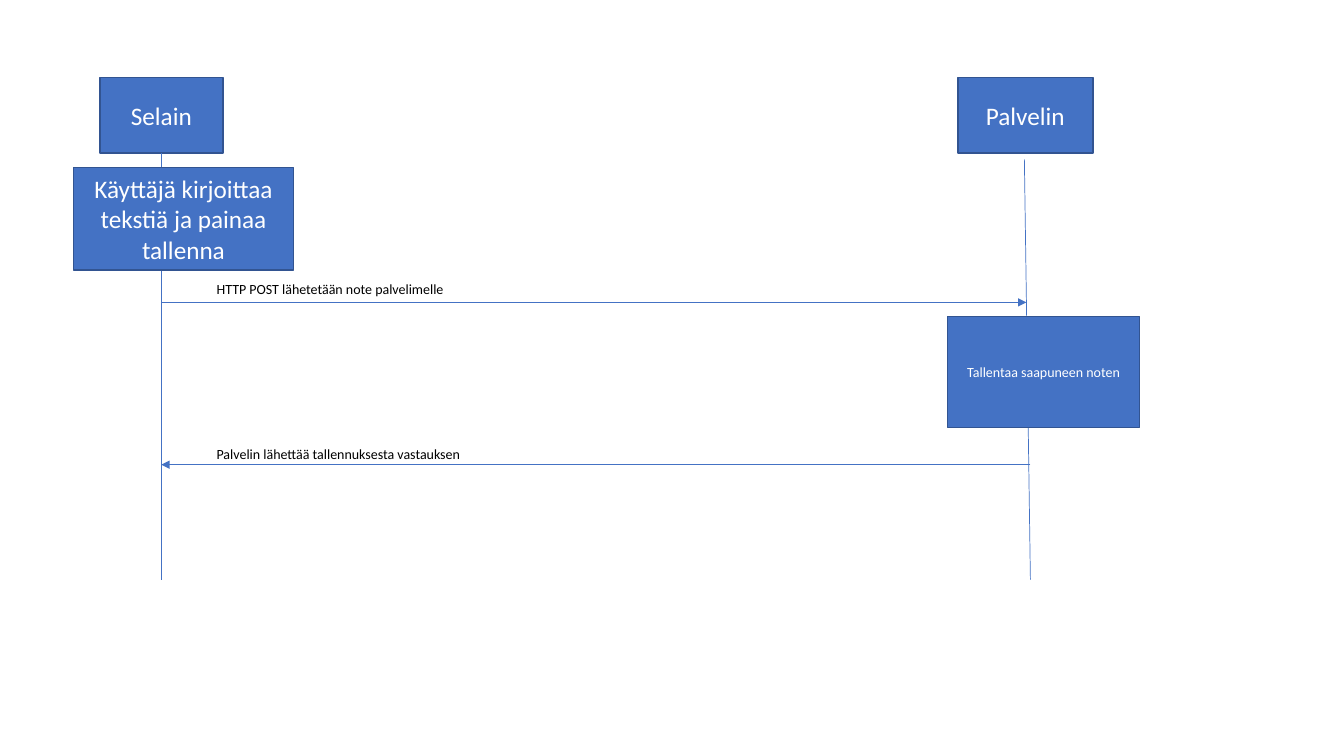
from dataclasses import dataclass
from lxml.etree import SubElement
from pptx import Presentation
from pptx.dml.color import RGBColor
from pptx.enum.shapes import MSO_CONNECTOR, MSO_SHAPE
from pptx.enum.text import MSO_ANCHOR, PP_ALIGN
from pptx.oxml.ns import qn
from pptx.util import Inches, Pt


@dataclass(frozen=True)
class Theme:
    font: str = "Calibri"
    blue: str = "4472C4"
    border: str = "325491"
    white: str = "FFFFFF"
    black: str = "000000"
    large: float = 18
    small: float = 10
    box_line: float = 1
    thin_line: float = 0.5


T = Theme()

# Content: text, (left, top, width, height), type size
ACTORS = [
    ("Selain", (0.99, 0.77, 1.22, 0.75), T.large),
    ("Palvelin", (9.5, 0.77, 1.34, 0.75), T.large),
]
ACTIONS = [
    ("Käyttäjä kirjoittaa tekstiä ja painaa tallenna", (0.73, 1.66, 2.18, 1.02), T.large),
    ("Tallentaa saapuneen noten", (9.4, 3.14, 1.9, 1.1), T.small),
]
# Lifelines: start, end
BROWSER_X, LIFELINE_END = 1.6, 5.75
LIFELINES = [
    ((BROWSER_X, 1.52), (BROWSER_X, LIFELINE_END)),
    ((10.16, 1.58), (10.22, LIFELINE_END)),
]
# Messages: text, label top, arrow height, from x, to x
MESSAGES = [
    ("HTTP POST lähetetään note palvelimelle", 2.73, 3.0, BROWSER_X, 10.18),
    ("Palvelin lähettää tallennuksesta vastauksen", 4.37, 4.61, 10.22, BROWSER_X),
]
LABEL_LEFT, LABEL_WIDTH, LABEL_HEIGHT = 2.05, 5.29, 0.27


def color(value):
    return RGBColor.from_string(value)


def write(s, text, size, ink, align):
    tf = s.text_frame
    tf.word_wrap = True
    p = tf.paragraphs[0]
    p.alignment = align
    r = p.add_run()
    r.text = text
    r.font.name = T.font
    r.font.size = Pt(size)
    r.font.color.rgb = color(ink)
    return tf


def add_box(s, text, place, size):
    sp = s.shapes.add_shape(MSO_SHAPE.RECTANGLE, *map(Inches, place))
    sp.shadow.inherit = False
    sp.fill.solid()
    sp.fill.fore_color.rgb = color(T.blue)
    sp.line.color.rgb = color(T.border)
    sp.line.width = Pt(T.box_line)
    tf = write(sp, text, size, T.white, PP_ALIGN.CENTER)
    tf.vertical_anchor = MSO_ANCHOR.MIDDLE


def add_line(s, start, end, arrow=False):
    sp = s.shapes.add_connector(MSO_CONNECTOR.STRAIGHT, *map(Inches, start + end))
    sp.line.color.rgb = color(T.blue)
    sp.line.width = Pt(T.thin_line)
    if arrow:
        SubElement(sp.line._get_or_add_ln(), qn("a:tailEnd"), type="triangle")
    SubElement(sp._element.spPr, qn("a:effectLst"))


def add_label(s, text, top):
    place = (LABEL_LEFT, top, LABEL_WIDTH, LABEL_HEIGHT)
    sp = s.shapes.add_textbox(*map(Inches, place))
    write(sp, text, T.small, T.black, PP_ALIGN.LEFT)


prs = Presentation()
prs.slide_width, prs.slide_height = Inches(13.33), Inches(7.5)
s = prs.slides.add_slide(prs.slide_layouts[6])

# Actors and their lifelines
for actor in ACTORS:
    add_box(s, *actor)
for start, end in LIFELINES:
    add_line(s, start, end)

# Actions cover the lifelines
for action in ACTIONS:
    add_box(s, *action)

# Messages between the actors
for text, top, y, x1, x2 in MESSAGES:
    add_line(s, (x1, y), (x2, y), arrow=True)
    add_label(s, text, top)

prs.save("out.pptx")
